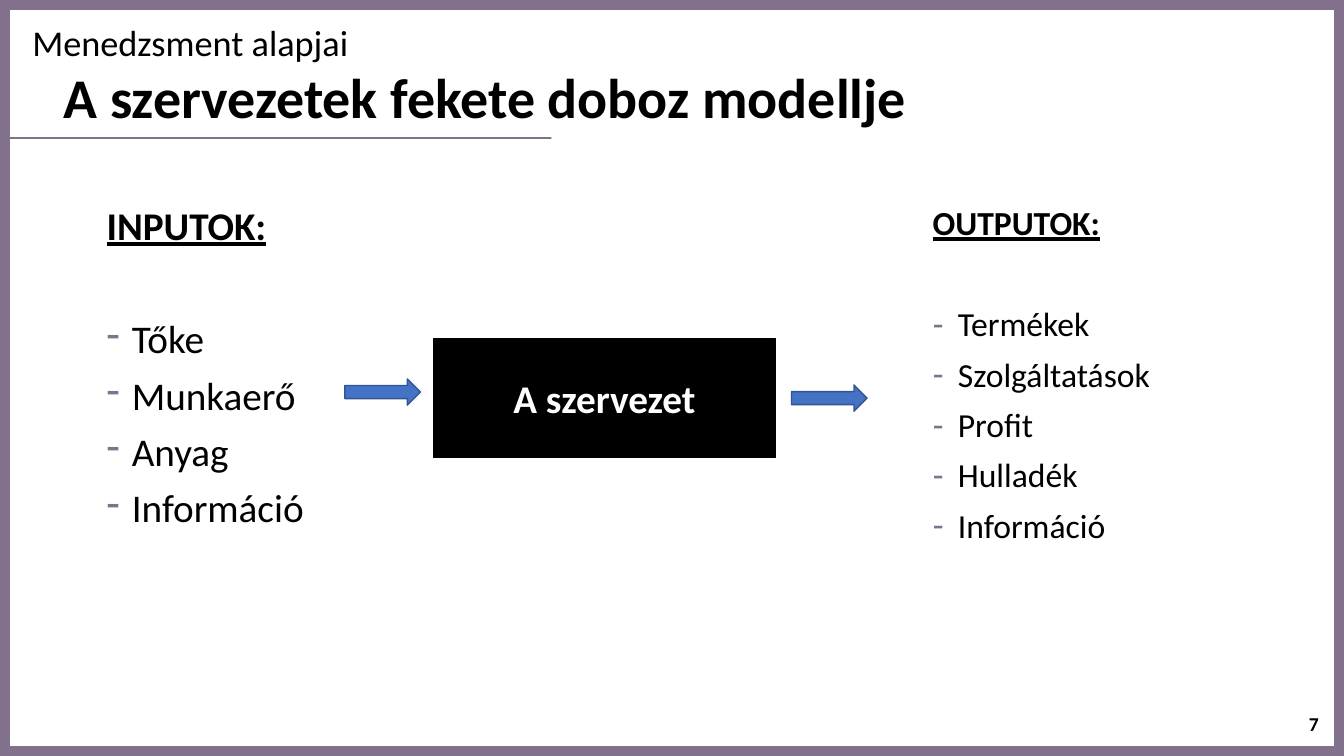
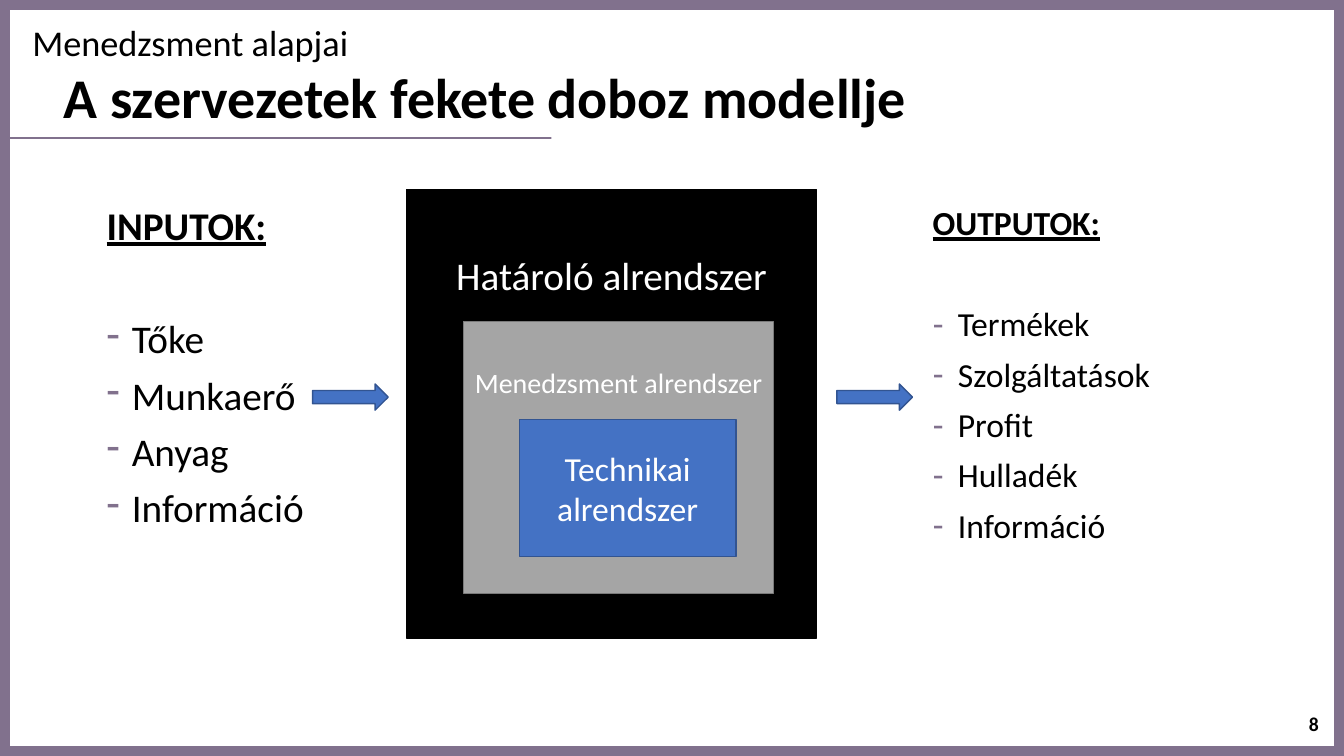
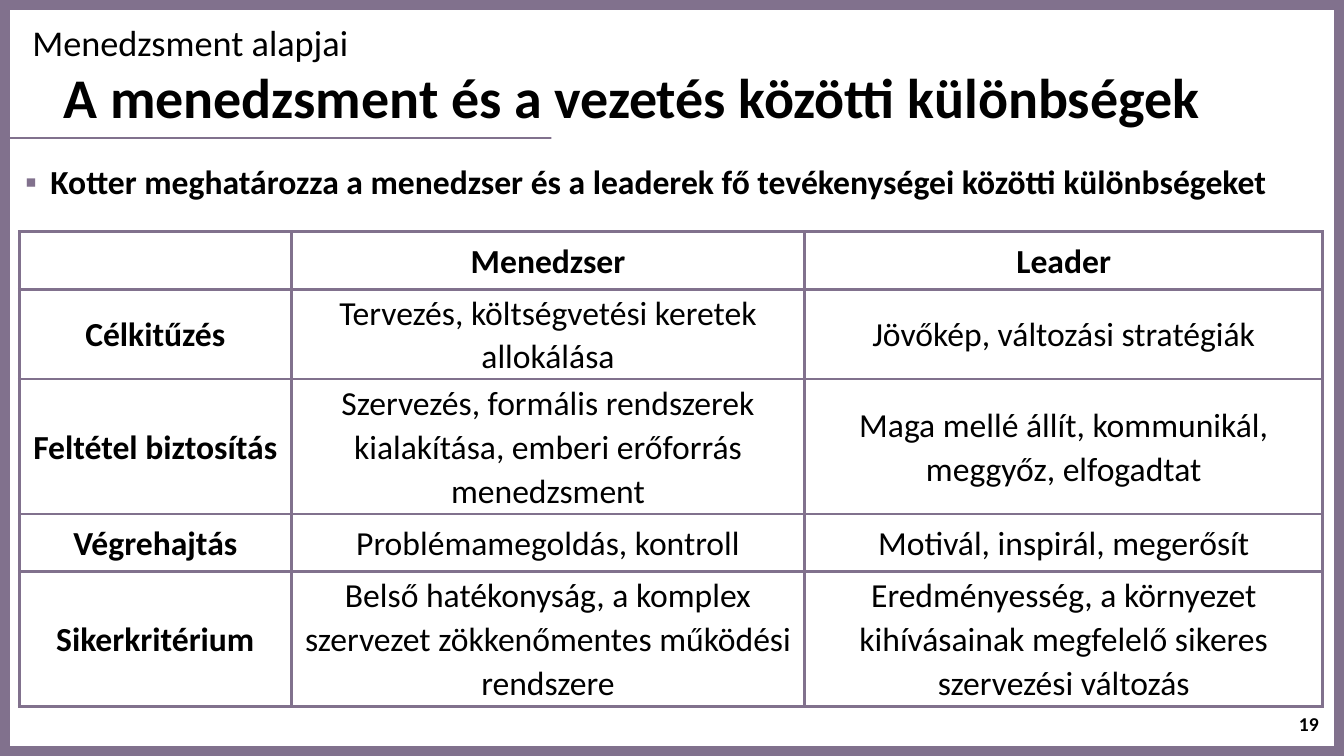
from dataclasses import dataclass

from lxml import etree
from pptx import Presentation
from pptx.dml.color import RGBColor
from pptx.enum.shapes import MSO_SHAPE
from pptx.enum.text import MSO_ANCHOR, MSO_AUTO_SIZE, PP_ALIGN
from pptx.oxml.ns import qn
from pptx.util import Inches, Pt

RECTANGLE, ARROW = MSO_SHAPE.RECTANGLE, MSO_SHAPE.RIGHT_ARROW
TOP, MIDDLE = MSO_ANCHOR.TOP, MSO_ANCHOR.MIDDLE
LEFT, CENTER, RIGHT = PP_ALIGN.LEFT, PP_ALIGN.CENTER, PP_ALIGN.RIGHT
NO_AUTOFIT = MSO_AUTO_SIZE.NONE


@dataclass(frozen=True)
class Theme:
    font: str = "Calibri"
    accent: str = "81718D"
    black: str = "000000"
    white: str = "FFFFFF"
    blue: str = "4472C4"
    blue_line: str = "325491"
    gray: str = "A5A5A5"
    gray_line: str = "7A7A7A"
    title: float = 40
    large: float = 28
    course: float = 25.9
    body: float = 24
    small: float = 20
    number: float = 14
    border: float = 2.25


theme = Theme()


def write_text(frame, text, size, color=theme.black, bold=False, underline=False,
               align=LEFT, anchor=TOP, spacing=0.9, before=0, bullet=None):
    """Fill the frame's first paragraph, or add one after existing text."""
    paragraph = frame.add_paragraph() if frame.text else frame.paragraphs[0]
    frame.word_wrap = True
    frame.auto_size = NO_AUTOFIT
    frame.vertical_anchor = anchor
    properties = paragraph._p.get_or_add_pPr()
    indent = Inches(0.25) if bullet else 0
    properties.set("marL", str(indent))
    properties.set("indent", str(-indent))
    if bullet:
        bullet_color = etree.SubElement(properties, qn("a:buClr"))
        etree.SubElement(bullet_color, qn("a:srgbClr"), val=theme.accent)
        etree.SubElement(properties, qn("a:buChar"), char=bullet)
    else:
        etree.SubElement(properties, qn("a:buNone"))
    paragraph.alignment = align
    paragraph.line_spacing = spacing
    paragraph.space_before = Pt(before)
    run = paragraph.add_run()
    run.text = text
    run.font.name = theme.font
    run.font.size = Pt(size)
    run.font.bold = bold
    run.font.underline = underline
    run.font.color.rgb = RGBColor.from_string(color)


def add_box(slide, kind, left, top, width, height, fill, line=None):
    shape = slide.shapes.add_shape(kind, Inches(left), Inches(top), Inches(width), Inches(height))
    shape.shadow.inherit = False
    shape.fill.solid()
    shape.fill.fore_color.rgb = RGBColor.from_string(fill)
    if line:
        shape.line.color.rgb = RGBColor.from_string(line)
        shape.line.width = Pt(1)
    else:
        shape.line.fill.background()
    return shape


presentation = Presentation()
presentation.slide_width = Inches(13.33)
presentation.slide_height = Inches(7.5)

# Shared layout: frame colour, placeholder places and white panels
layout = presentation.slide_layouts[3]
layout.background.fill.solid()
layout.background.fill.fore_color.rgb = RGBColor.from_string(theme.accent)
PLACES = [(0.53, 0.6, 12.59, 0.79), (0.22, 0.23, 12.59, 0.48), (9.15, 2, 3.27, 4.76)]
for idx, place in enumerate(PLACES):
    placeholder = layout.placeholders.get(idx)
    placeholder.left, placeholder.top, placeholder.width, placeholder.height = map(Inches, place)

BLACK_BOX_TITLE = "A szervezetek fekete doboz modellje"
SLIDES = [
    (BLACK_BOX_TITLE, "7"),
    (BLACK_BOX_TITLE, "8"),
    ("A menedzsment és a vezetés közötti különbségek", "19"),
]
for title, number in SLIDES:
    slide = presentation.slides.add_slide(layout)
    write_text(slide.shapes.title.text_frame, title, theme.title, bold=True, anchor=MIDDLE)
    write_text(slide.placeholders[1].text_frame, "Menedzsment alapjai", theme.course, spacing=0.8)
    number_box = slide.shapes.add_textbox(Inches(10.18), Inches(6.98), Inches(3), Inches(0.4))
    write_text(number_box.text_frame, number, theme.number, bold=True, align=RIGHT,
               anchor=MIDDLE, spacing=1)
simple_slide, nested_slide, table_slide = presentation.slides

PANELS = [(5.47, 0.12, 7.76, 6.02), (0.1, 0.1, 13.13, 1.26), (0.1, 1.38, 13.13, 6.02)]
for index, place in enumerate(PANELS):
    panel = add_box(simple_slide, RECTANGLE, *place, theme.white)
    panel.element.nvSpPr.cNvPr.set("id", str(20 + index))
    layout.shapes.element.insert(2 + index, panel.element)

# Black box model: inputs, arrows and outputs on both slides
INPUTS = ["Tőke", "Munkaerő", "Anyag", "Információ"]
OUTPUTS = ["Termékek", "Szolgáltatások", "Profit", "Hulladék", "Információ"]
ARROWS = [
    (simple_slide, [(3.42, 3.76), (7.85, 3.82)]),
    (nested_slide, [(3.1, 3.81), (8.3, 3.81)]),
]
for slide, arrow_places in ARROWS:
    input_box = slide.shapes.add_textbox(Inches(0.96), Inches(2), Inches(5.67), Inches(4.76))
    for shape, heading, items, size in [
        (input_box, "INPUTOK:", INPUTS, theme.large),
        (slide.placeholders[2], "OUTPUTOK:", OUTPUTS, theme.body),
    ]:
        frame = shape.text_frame
        write_text(frame, heading, size, bold=True, underline=True)
        for index, item in enumerate(items):
            before = 10 if index else 20 + 1.1 * size
            write_text(frame, item, size, before=before, bullet="-")
    for left, top in arrow_places:
        add_box(slide, ARROW, left, top, 0.75, 0.26, theme.blue, theme.blue_line)

organization = add_box(simple_slide, RECTANGLE, 4.3, 3.36, 3.39, 1.18, theme.black, theme.black)
write_text(organization.text_frame, "A szervezet", theme.large, theme.white, bold=True,
           align=CENTER, anchor=MIDDLE, spacing=1)

SUBSYSTEMS = [
    ("Határoló alrendszer", (4.03, 1.88, 4.07, 4.45), theme.black, theme.black, theme.large, 0.61),
    ("Menedzsment alrendszer", (4.6, 3.19, 3.07, 2.7), theme.gray, theme.gray_line, theme.small, 0.44),
    ("Technikai alrendszer", (5.15, 4.16, 2.15, 1.36), theme.blue, theme.blue_line, theme.body, None),
]
for name, place, fill, line, size, top_margin in SUBSYSTEMS:
    subsystem = add_box(nested_slide, RECTANGLE, *place, fill, line)
    if top_margin:
        subsystem.text_frame.margin_top = Inches(top_margin)
    write_text(subsystem.text_frame, name, size, theme.white, align=CENTER,
               anchor=TOP if top_margin else MIDDLE, spacing=1)

# Manager and leader comparison
statement = table_slide.placeholders[2]
statement.left, statement.top = Inches(0.15), Inches(1.59)
statement.width, statement.height = Inches(12.59), Inches(5.76)
write_text(statement.text_frame,
           "Kotter meghatározza a menedzser és a leaderek fő tevékenységei közötti különbségeket",
           theme.body, bold=True, bullet="▪")

ROWS = [
    ("", "Menedzser", "Leader"),
    ("Célkitűzés", "Tervezés, költségvetési keretek allokálása", "Jövőkép, változási stratégiák"),
    ("Feltétel biztosítás",
     "Szervezés, formális rendszerek kialakítása, emberi erőforrás menedzsment",
     "Maga mellé állít, kommunikál, meggyőz, elfogadtat"),
    ("Végrehajtás", "Problémamegoldás, kontroll", "Motivál, inspirál, megerősít"),
    ("Sikerkritérium",
     "Belső hatékonyság, a komplex szervezet zökkenőmentes működési rendszere",
     "Eredményesség, a környezet kihívásainak megfelelő sikeres szervezési változás"),
]
COLUMN_WIDTHS = [2.7, 5.09, 5.14]
ROW_HEIGHTS = [0.57, 0.89, 1.34, 0.57, 1.34]
table = table_slide.shapes.add_table(
    len(ROWS), len(COLUMN_WIDTHS), Inches(0.19), Inches(2.3),
    Inches(sum(COLUMN_WIDTHS)), Inches(sum(ROW_HEIGHTS))).table
table.first_row = table.horz_banding = False
for column, width in zip(table.columns, COLUMN_WIDTHS):
    column.width = Inches(width)
for row, height in zip(table.rows, ROW_HEIGHTS):
    row.height = Inches(height)
for row_index, row_texts in enumerate(ROWS):
    for column_index, text in enumerate(row_texts):
        cell = table.cell(row_index, column_index)
        cell.margin_left = cell.margin_right = Inches(0.02)
        cell.margin_top = cell.margin_bottom = 0
        cell_properties = cell._tc.get_or_add_tcPr()
        for side in ("a:lnL", "a:lnR", "a:lnT", "a:lnB"):
            border = etree.SubElement(cell_properties, qn(side), w=str(Pt(theme.border)))
            border_fill = etree.SubElement(border, qn("a:solidFill"))
            etree.SubElement(border_fill, qn("a:srgbClr"), val=theme.accent)
        cell.fill.background()
        if text:
            write_text(cell.text_frame, text, theme.body, bold=row_index == 0 or column_index == 0,
                       align=CENTER, spacing=1.07)
            cell.vertical_anchor = MIDDLE

presentation.save("out.pptx")
